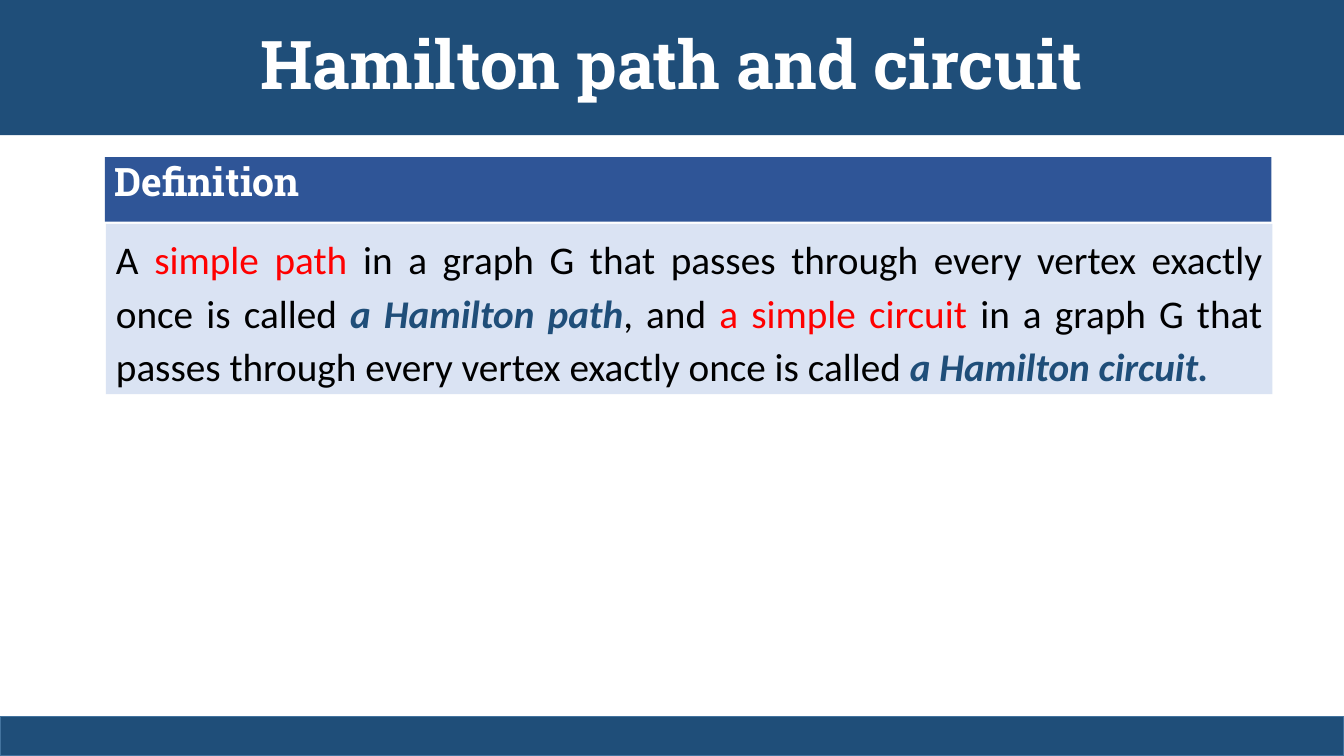
import pptx
import pptx.util
import pptx.dml.color
import pptx.enum.shapes
import pptx.enum.text

Inches, Pt = pptx.util.Inches, pptx.util.Pt
RGBColor = pptx.dml.color.RGBColor
ALIGN = pptx.enum.text.PP_ALIGN
ANCHOR = pptx.enum.text.MSO_ANCHOR

NAVY = RGBColor(0x1F, 0x4E, 0x79)
NAVY_EDGE = RGBColor(0x43, 0x73, 0x9E)
BLUE = RGBColor(0x2F, 0x55, 0x97)
PALE_BLUE = RGBColor(0xDA, 0xE3, 0xF3)
RED = RGBColor(0xFF, 0, 0)
BLACK = RGBColor(0, 0, 0)
WHITE = RGBColor(0xFF, 0xFF, 0xFF)

TITLE = "Hamilton path and circuit"
HEADING = "Definition"
PLAIN, KEY, TERM = (BLACK, False), (RED, False), (NAVY, True)
DEFINITION = [
    ("A ", PLAIN),
    ("simple path ", KEY),
    ("in a graph G that passes through every vertex exactly once is called ", PLAIN),
    ("a Hamilton path", TERM),
    (", and ", PLAIN),
    ("a simple circuit ", KEY),
    ("in a graph G that passes through every vertex exactly once is called ", PLAIN),
    ("a Hamilton circuit.", TERM),
]

SLIDE_W, SLIDE_H = 13.33, 7.5
TITLE_H, FOOTER_H = 1.34, 0.39
BOX_LEFT, BOX_TOP, BOX_W = 1.04, 1.56, 11.57
HEADING_H, DEFINITION_H = 0.64, 1.69


def place(shape, left, top, width, height, fill):
    shape.left, shape.top = Inches(left), Inches(top)
    shape.width, shape.height = Inches(width), Inches(height)
    shape.fill.solid()
    shape.fill.fore_color.rgb = fill


def write(shape, text, font="Calibri", size=28, color=WHITE, bold=False,
          align=ALIGN.JUSTIFY, anchor=ANCHOR.TOP, spacing=0.9):
    """Fill the shape with one paragraph; text is a string or (text, (color, emphasis)) runs."""
    frame = shape.text_frame
    frame.word_wrap = True
    frame.auto_size = pptx.enum.text.MSO_AUTO_SIZE.NONE
    frame.vertical_anchor = anchor
    paragraph = frame.paragraphs[0]
    properties = paragraph._p.get_or_add_pPr()
    properties.set("marL", "0")
    properties.set("indent", "0")
    paragraph.alignment = align
    paragraph.line_spacing = spacing
    paragraph.space_before = Pt(0)
    properties.append(pptx.oxml.parse_xml(
        '<a:buNone xmlns:a="http://schemas.openxmlformats.org/drawingml/2006/main"/>'))
    runs = [(text, (color, False))] if isinstance(text, str) else text
    for words, (run_color, emphasis) in runs:
        run = paragraph.add_run()
        run.text = words
        run.font.name, run.font.size = font, Pt(size)
        run.font.bold, run.font.italic = bold or emphasis, emphasis
        run.font.color.rgb = run_color


def add_bar(slide, left, top, width, height, fill):
    bar = slide.shapes.add_shape(pptx.enum.shapes.MSO_SHAPE.RECTANGLE, 0, 0, 0, 0)
    place(bar, left, top, width, height, fill)
    bar.shadow.inherit = False
    bar.line.fill.background()
    return bar


def main():
    deck = pptx.Presentation()
    deck.slide_width, deck.slide_height = Inches(SLIDE_W), Inches(SLIDE_H)
    slide = deck.slides.add_slide(deck.slide_layouts[1])

    title = slide.shapes.title
    place(title, 0, 0, SLIDE_W, TITLE_H, NAVY)
    write(title, TITLE, font="Roboto Slab", size=48, bold=True,
          align=ALIGN.CENTER, anchor=ANCHOR.MIDDLE)

    heading = add_bar(slide, BOX_LEFT, BOX_TOP, BOX_W, HEADING_H, BLUE)
    write(heading, HEADING, font="Roboto Slab", bold=True)

    definition = slide.placeholders[1]
    place(definition, BOX_LEFT + 0.01, BOX_TOP + HEADING_H + 0.02,
          BOX_W, DEFINITION_H, PALE_BLUE)
    write(definition, DEFINITION, spacing=1.14)

    footer = add_bar(slide, 0, SLIDE_H - FOOTER_H, SLIDE_W, FOOTER_H, NAVY)
    footer.line.color.rgb = NAVY_EDGE
    footer.line.width = Pt(1)

    deck.save("out.pptx")


if __name__ == "__main__":
    main()
